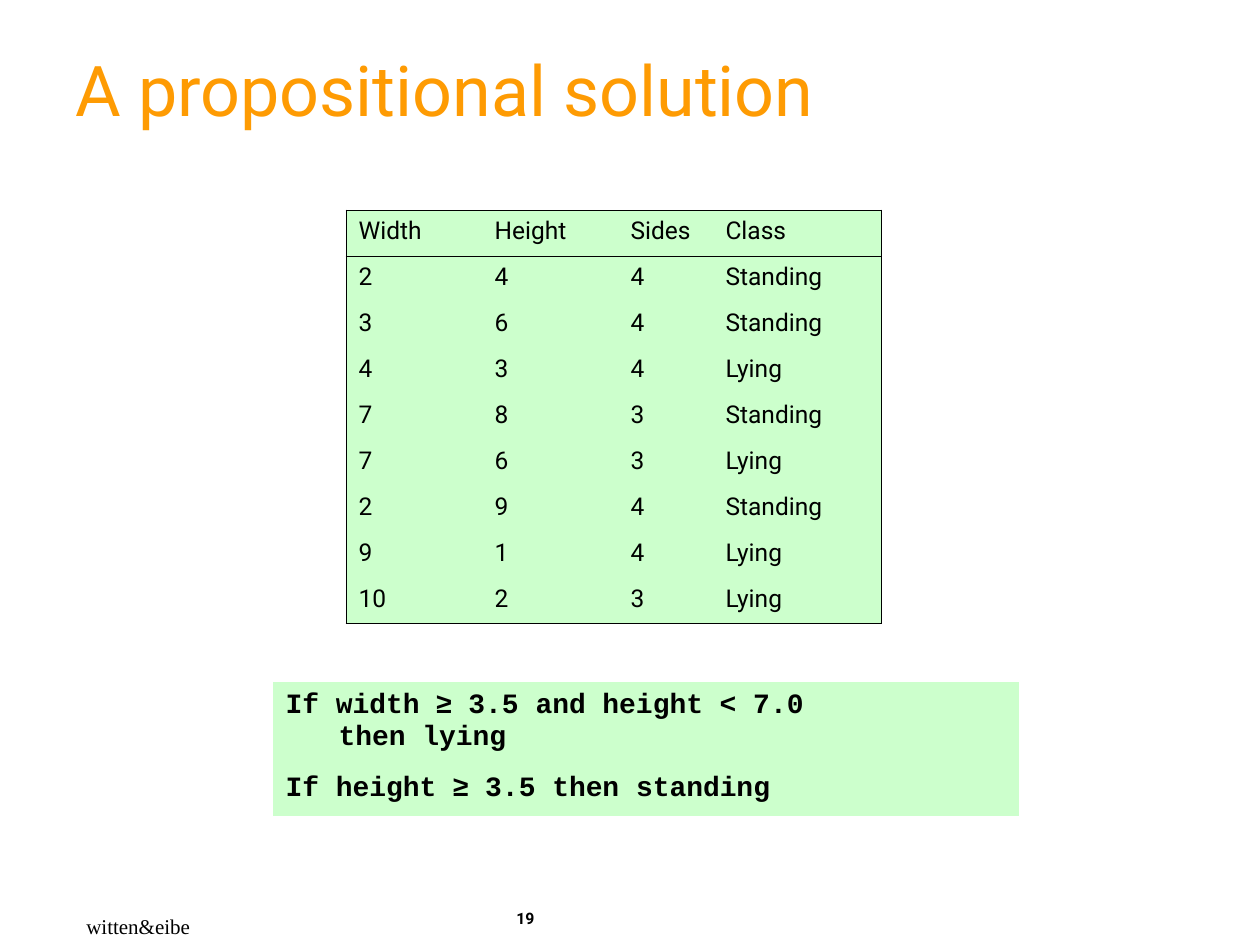
from lxml.etree import SubElement
from pptx import Presentation
from pptx.dml.color import RGBColor
from pptx.enum.text import MSO_ANCHOR, MSO_AUTO_SIZE
from pptx.oxml.ns import qn
from pptx.util import Pt

COLORS = {"title": "FE9B03", "text": "000000", "panel": "CCFFCC", "border": "000000"}

TITLE = "A propositional solution"
SHAPES = [
    ("Width", "Height", "Sides", "Class"),
    ("2", "4", "4", "Standing"),
    ("3", "6", "4", "Standing"),
    ("4", "3", "4", "Lying"),
    ("7", "8", "3", "Standing"),
    ("7", "6", "3", "Lying"),
    ("2", "9", "4", "Standing"),
    ("9", "1", "4", "Lying"),
    ("10", "2", "3", "Lying"),
]
RULES = [
    [("If width ", "≥", " 3.5 and height < 7.0"), ("then lying",)],
    [("If height ", "≥", " 3.5 then standing")],
]
CREDIT = "witten&eibe"
PAGE_NUMBER = "19"

SHAPE_COLUMNS = [136, 136, 95, 168]
SHAPE_ROWS = [46] * len(SHAPES)
RULE_INDENT = 53
BORDER_WIDTH = Pt(0.45)


def px(length):
    return round(length * 914400 / 126)


def add_run(paragraph, text, font, size, color="text", bold=False):
    run = paragraph.add_run()
    run.text = text
    run.font.name = font
    run.font.size = Pt(size)
    run.font.bold = bold
    run.font.color.rgb = RGBColor.from_string(COLORS[color])


def add_text(slide, box, text, font, size, color="text", bold=False, wrap=True):
    frame = slide.shapes.add_textbox(*map(px, box)).text_frame
    frame.word_wrap = wrap
    add_run(frame.paragraphs[0], text, font, size, color, bold)
    return frame


def style_cell(cell, edges=""):
    properties = cell._tc.get_or_add_tcPr()
    for edge in "LRTB":
        line = SubElement(properties, qn(f"a:ln{edge}"), w=str(int(BORDER_WIDTH)))
        if edge in edges:
            fill = SubElement(line, qn("a:solidFill"))
            SubElement(fill, qn("a:srgbClr"), val=COLORS["border"])
        else:
            SubElement(line, qn("a:noFill"))
    cell.fill.solid()
    cell.fill.fore_color.rgb = RGBColor.from_string(COLORS["panel"])


def add_grid(slide, left, top, columns, rows):
    box = (left, top, sum(columns), sum(rows))
    table = slide.shapes.add_table(len(rows), len(columns), *map(px, box)).table
    table.first_row = False
    table.horz_banding = False
    for column, width in zip(table.columns, columns):
        column.width = px(width)
    for row, height in zip(table.rows, rows):
        row.height = px(height)
    return table


def add_shapes_table(slide):
    table = add_grid(slide, 346, 210, SHAPE_COLUMNS, SHAPE_ROWS)
    last_row, last_column = len(SHAPES) - 1, len(SHAPE_COLUMNS) - 1
    for row, values in enumerate(SHAPES):
        for column, value in enumerate(values):
            cell = table.cell(row, column)
            edges = {
                "L": column == 0,
                "R": column == last_column,
                "T": row in (0, 1),
                "B": row in (0, last_row),
            }
            style_cell(cell, [edge for edge, drawn in edges.items() if drawn])
            paragraph = cell.text_frame.paragraphs[0]
            paragraph.space_before = Pt(8.8)
            add_run(paragraph, value, "Roboto", 14)


def add_rules_table(slide):
    cell = add_grid(slide, 273, 682, [746], [134]).cell(0, 0)
    style_cell(cell)
    frame = cell.text_frame
    for index, lines in enumerate(RULES):
        paragraph = frame.add_paragraph() if index else frame.paragraphs[0]
        paragraph.space_before = Pt(10)
        indent = paragraph._p.get_or_add_pPr()
        indent.set("marL", str(px(RULE_INDENT)))
        indent.set("indent", str(-px(RULE_INDENT)))
        for number, pieces in enumerate(lines):
            if number:
                paragraph.add_line_break()
            for piece in pieces:
                font = "Arial" if piece == "≥" else "Courier New"
                add_run(paragraph, piece, font, 16, bold=True)


def main():
    presentation = Presentation()
    presentation.slide_width, presentation.slide_height = px(1260), px(945)
    slide = presentation.slides.add_slide(presentation.slide_layouts[6])

    title = add_text(slide, (63, 32, 1144, 126), TITLE, "Roboto", 40, "title")
    title.vertical_anchor = MSO_ANCHOR.MIDDLE
    title.paragraphs[0].line_spacing = 0.85

    add_shapes_table(slide)
    add_rules_table(slide)

    credit = add_text(slide, (74, 907, 129, 38), CREDIT, "Times New Roman", 12, wrap=False)
    credit.auto_size = MSO_AUTO_SIZE.SHAPE_TO_FIT_TEXT
    add_text(slide, (504, 903, 129, 42), PAGE_NUMBER, "Roboto", 9, bold=True)

    presentation.save("out.pptx")


if __name__ == "__main__":
    main()
